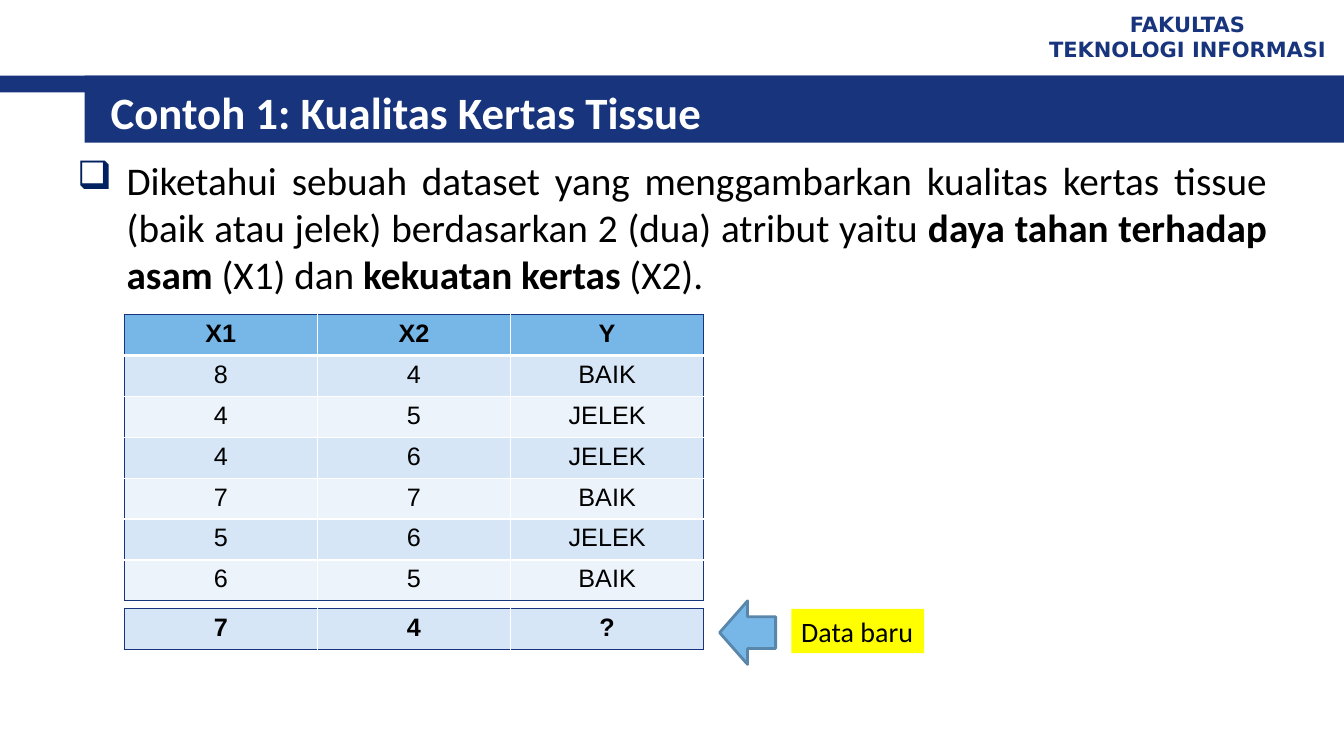
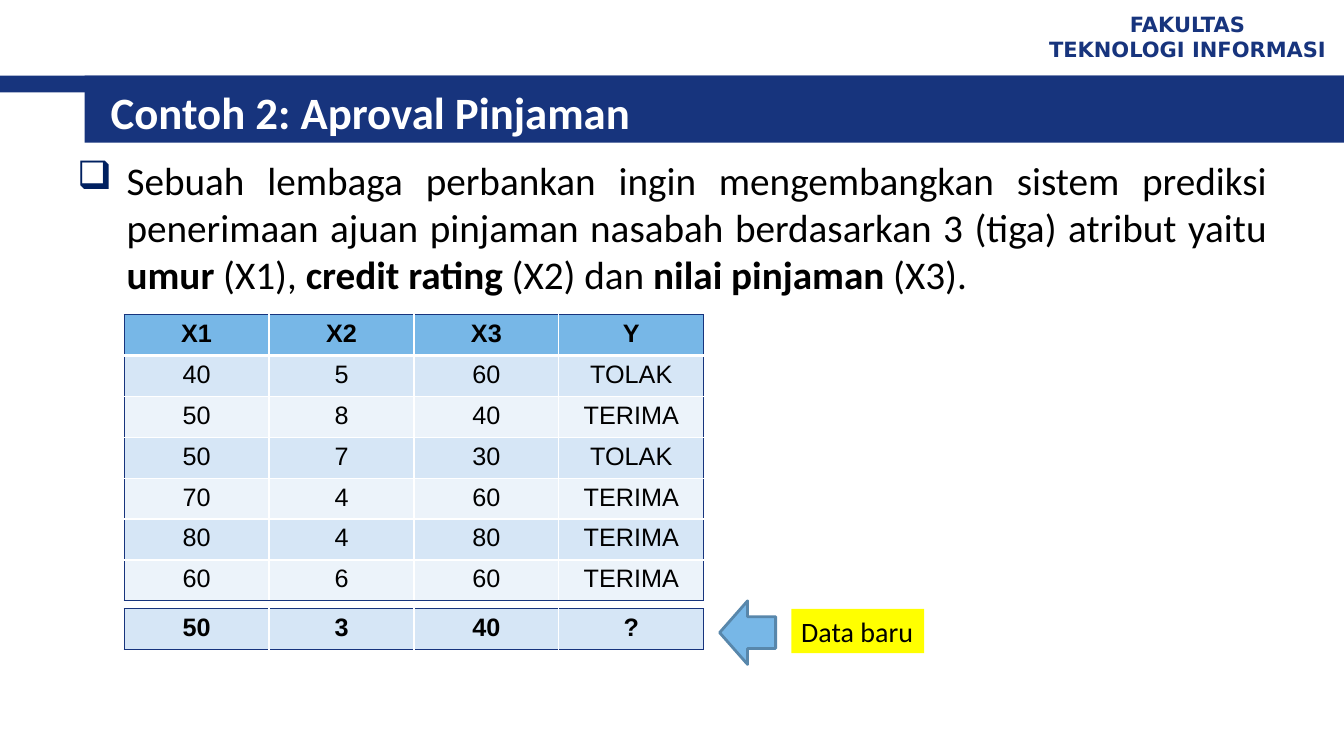
from lxml import etree
from pptx import Presentation
from pptx.dml.color import RGBColor
from pptx.enum.shapes import MSO_SHAPE
from pptx.enum.text import MSO_ANCHOR, PP_ALIGN
from pptx.oxml.ns import qn
from pptx.util import Pt

# Content: **...** marks bold words
SLIDES = [
    {
        "title": "Contoh 1: Kualitas Kertas Tissue",
        "body": "Diketahui sebuah dataset yang menggambarkan kualitas kertas tissue "
                "(baik atau jelek) berdasarkan 2 (dua) atribut yaitu "
                "**daya tahan terhadap asam** (X1) dan **kekuatan kertas** (X2).",
        "data": [
            ("X1", "X2", "Y"),
            ("8", "4", "BAIK"),
            ("4", "5", "JELEK"),
            ("4", "6", "JELEK"),
            ("7", "7", "BAIK"),
            ("5", "6", "JELEK"),
            ("6", "5", "BAIK"),
        ],
        "new": ("7", "4", "?"),
    },
    {
        "title": "Contoh 2: Aproval Pinjaman",
        "body": "Sebuah lembaga perbankan ingin mengembangkan sistem prediksi "
                "penerimaan ajuan pinjaman nasabah berdasarkan 3 (tiga) atribut yaitu "
                "**umur** (X1), **credit rating** (X2) dan **nilai pinjaman** (X3).",
        "data": [
            ("X1", "X2", "X3", "Y"),
            ("40", "5", "60", "TOLAK"),
            ("50", "8", "40", "TERIMA"),
            ("50", "7", "30", "TOLAK"),
            ("70", "4", "60", "TERIMA"),
            ("80", "4", "80", "TERIMA"),
            ("60", "6", "60", "TERIMA"),
        ],
        "new": ("50", "3", "40", "?"),
    },
]
FACULTY = ["FAKULTAS", "TEKNOLOGI INFORMASI"]
NEW_DATA_LABEL = "Data baru"

# Shared style
NAVY = RGBColor(0x17, 0x34, 0x7D)
BULLET_NAVY = RGBColor(0x00, 0x20, 0x60)
SKY = RGBColor(0x77, 0xB7, 0xE7)
SKY_EDGE = RGBColor(0x58, 0x87, 0xAB)
BAND_DARK = RGBColor(0xD6, 0xE6, 0xF6)
BAND_LIGHT = RGBColor(0xEC, 0xF3, 0xFA)
YELLOW = RGBColor(0xFF, 0xFF, 0x00)
WHITE = RGBColor(0xFF, 0xFF, 0xFF)
BLACK = RGBColor(0x00, 0x00, 0x00)

# Layout in points
WIDTH, HEIGHT = 960, 540
TABLE_LEFT, TABLE_TOP, TABLE_WIDTH, ROW_HEIGHT = 88.7, 224.8, 414, 29.2
NEW_ROW_TOP = 434.9
BODY_INDENT = 35.4


def add_block(slide, preset, box, fill, edge=None):
    shape = slide.shapes.add_shape(preset, *map(Pt, box))
    shape.shadow.inherit = False
    shape.fill.solid()
    shape.fill.fore_color.rgb = fill
    if edge is None:
        shape.line.fill.background()
    else:
        shape.line.color.rgb = edge
        shape.line.width = Pt(2)
    return shape


def add_text(slide, box, anchor=MSO_ANCHOR.MIDDLE):
    frame = slide.shapes.add_textbox(*map(Pt, box)).text_frame
    frame.word_wrap = True
    frame.vertical_anchor = anchor
    return frame


def style_runs(paragraph, name, size, color, bold=False):
    for run in paragraph.runs:
        font = run.font
        font.name, font.size, font.bold = name, Pt(size), bold
        font.color.rgb = color


def add_solid_color(parent, color):
    fill = etree.SubElement(parent, qn("a:solidFill"))
    etree.SubElement(fill, qn("a:srgbClr"), val=str(color))


def set_border(cell, side, color, width):
    properties = cell._tc.get_or_add_tcPr()
    line = etree.SubElement(properties, qn("a:ln" + side), w=str(Pt(width)))
    add_solid_color(line, color)


def add_frame(slide, title):
    """Bands, faculty name and title."""
    for box in [(0, 54, WIDTH, 12), (60.5, 54, WIDTH - 60.5, 48)]:
        add_block(slide, MSO_SHAPE.RECTANGLE, box, NAVY)
    frame = add_text(slide, (736.5, 3.6, 223.5, 45))
    frame.text = "\n".join(FACULTY)
    for paragraph in frame.paragraphs:
        paragraph.alignment = PP_ALIGN.CENTER
        style_runs(paragraph, "DejaVu Sans", 15, NAVY, True)
    frame = add_text(slide, (72, 57.6, 856, 44.6))
    frame.text = title
    style_runs(frame.paragraphs[0], "Calibri", 32, WHITE, True)


def add_body(slide, text):
    frame = add_text(slide, (48, 108, 864, 112), MSO_ANCHOR.TOP)
    paragraph = frame.paragraphs[0]
    paragraph.alignment = PP_ALIGN.JUSTIFY
    properties = paragraph._p.get_or_add_pPr()
    properties.set("marL", str(Pt(BODY_INDENT)))
    properties.set("indent", str(-Pt(BODY_INDENT)))
    bullet_color = etree.SubElement(properties, qn("a:buClr"))
    etree.SubElement(bullet_color, qn("a:srgbClr"), val=str(BULLET_NAVY))
    etree.SubElement(properties, qn("a:buChar"), char="❑")
    parts = text.split("**")
    for part in parts:
        paragraph.add_run().text = part
    style_runs(paragraph, "Calibri", 28, BLACK)
    for run in paragraph.runs[1::2]:
        run.font.bold = True


def add_data_table(slide, top, rows, header):
    row_count, column_count = len(rows), len(rows[0])
    box = (TABLE_LEFT, top, TABLE_WIDTH, ROW_HEIGHT * row_count)
    table = slide.shapes.add_table(row_count, column_count, *map(Pt, box)).table
    table.first_row = header
    table.horz_banding = False
    for column in table.columns:
        column.width = Pt(TABLE_WIDTH / column_count)
    for r, values in enumerate(rows):
        table.rows[r].height = Pt(ROW_HEIGHT)
        is_header = header and r == 0
        band = (BAND_DARK, BAND_LIGHT)[(r - header) % 2]
        for c, value in enumerate(values):
            cell = table.cell(r, c)
            # Navy around the table, white between cells
            outer = {"L": c == 0, "R": c == column_count - 1,
                     "T": r == 0, "B": r == row_count - 1}
            for side, is_outer in outer.items():
                under_header = header and (r, side) in [(0, "B"), (1, "T")]
                set_border(cell, side, NAVY if is_outer else WHITE, 3 if under_header else 1)
            cell.fill.solid()
            cell.fill.fore_color.rgb = SKY if is_header else band
            cell.text_frame.text = value
            paragraph = cell.text_frame.paragraphs[0]
            paragraph.alignment = PP_ALIGN.CENTER
            style_runs(paragraph, "Arial", 18, BLACK, is_header or not header)


def add_new_data_marker(slide):
    add_block(slide, MSO_SHAPE.LEFT_ARROW, (514, 429.2, 40, 45.4), SKY, SKY_EDGE)
    label = add_block(slide, MSO_SHAPE.RECTANGLE, (565.2, NEW_ROW_TOP, 95, 31.6), YELLOW)
    frame = label.text_frame
    frame.word_wrap = False
    frame.text = NEW_DATA_LABEL
    frame.paragraphs[0].alignment = PP_ALIGN.LEFT
    style_runs(frame.paragraphs[0], "Calibri", 20, BLACK)


def main():
    presentation = Presentation()
    presentation.slide_width, presentation.slide_height = Pt(WIDTH), Pt(HEIGHT)
    for content in SLIDES:
        slide = presentation.slides.add_slide(presentation.slide_layouts[6])
        add_frame(slide, content["title"])
        add_body(slide, content["body"])
        add_data_table(slide, TABLE_TOP, content["data"], header=True)
        add_data_table(slide, NEW_ROW_TOP, [content["new"]], header=False)
        add_new_data_marker(slide)
    presentation.save("out.pptx")


if __name__ == "__main__":
    main()
